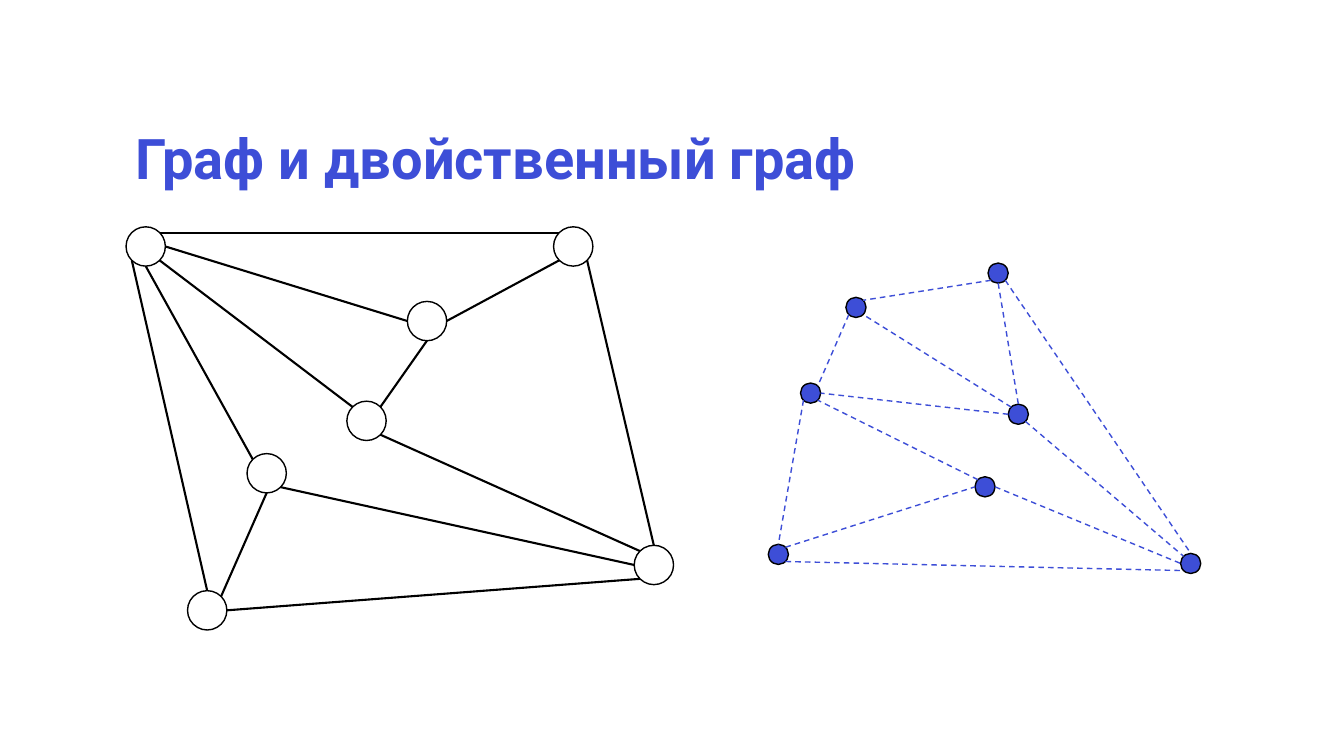
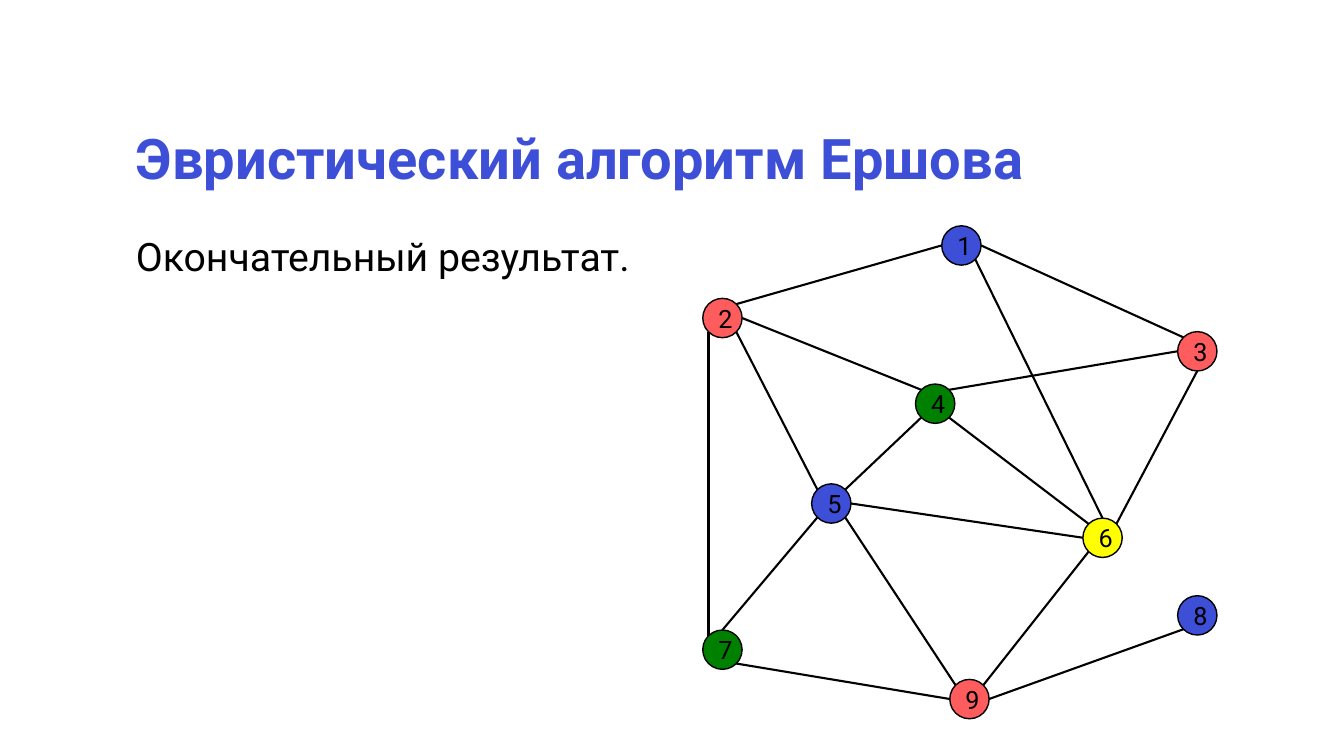
from lxml import etree
from pptx import Presentation
from pptx.dml.color import RGBColor
from pptx.enum.dml import MSO_LINE
from pptx.enum.shapes import MSO_CONNECTOR, MSO_SHAPE
from pptx.enum.text import MSO_ANCHOR, PP_ALIGN
from pptx.oxml.ns import qn
from pptx.util import Inches, Pt

OVAL = MSO_SHAPE.OVAL
LINE = MSO_CONNECTOR.STRAIGHT
DASH = MSO_LINE.DASH
MIDDLE = MSO_ANCHOR.MIDDLE
CENTER = PP_ALIGN.CENTER

CELL = Inches(0.1)
BLUE, RED, GREEN, YELLOW = "3D4ED7", "FF5D5D", "008000", "FFFF00"
BLACK, WHITE = "000000", "FFFFFF"

TITLE = {"size": Pt(40), "name": "Roboto", "bold": True}
BODY = {"size": Pt(28), "name": "Roboto"}
LABEL = {"size": Pt(18), "name": "Roboto"}
SOLID = {"width": Pt(1.5)}
DASHED = {"width": Pt(1), "dash_style": DASH}
RIM = {"width": Pt(1)}

DIAG = 0.5 ** 0.5
SITES = {
    "n": (0, -1), "s": (0, 1), "w": (-1, 0), "e": (1, 0),
    "nw": (-DIAG, -DIAG), "ne": (DIAG, -DIAG),
    "sw": (-DIAG, DIAG), "se": (DIAG, DIAG),
}

MAIN = {
    "A": (0, 0), "B": (21.9, 17.3), "C": (12, 22.5), "D": (50.4, 31.6),
    "E": (42.4, 0), "F": (27.9, 7.4), "G": (6.1, 36.1),
}
MAIN_EDGES = "Bnw-Ase As-Cnw Ese-Dn Dsw-Ge Enw-Ane Bse-Dnw Bne-Fs Esw-Fe Asw-Gn Dw-Cse Fw-Ae Cs-Gne"

DUAL = {
    "A": (21.8, 0), "B": (7.7, 3.4), "C": (23.8, 14), "D": (3.2, 11.9),
    "E": (0, 27.9), "F": (20.5, 21.2), "G": (40.9, 28.8),
}
DUAL_EDGES = "Asw-Bne Bsw-Dne Dsw-En Cnw-Bse Cse-Gnw Ene-Fw Fnw-Dse As-Cn Fe-Gw Cw-De Ese-Gsw Ase-Gn"

FINAL = {
    "1": (23.7, 0), "2": (0, 7.2), "3": (47.1, 10.5),
    "4": (21.1, 15.7), "5": (10.8, 25.6), "6": (37.7, 29),
    "7": (0, 40.1), "8": (47.1, 36.7), "9": (24.5, 45),
}
FINAL_EDGES = (
    "1w-2ne 6n-1se 2e-4nw 4se-6nw 4sw-5ne 4ne-3w 1e-3nw 5sw-7n "
    "5e-6w 8sw-9e 2sw-7nw 2se-5nw 3s-6ne 9w-7se 9nw-5se 9ne-6sw"
)
FINAL_FILLS = {
    "1": BLUE, "2": RED, "3": RED, "4": GREEN, "5": BLUE,
    "6": YELLOW, "7": GREEN, "8": BLUE, "9": RED,
}


def cells(*nums):
    return [round(num * CELL) for num in nums]


def paint(part, tint):
    part.solid()
    part.fore_color.rgb = RGBColor.from_string(tint)


def apply(part, style):
    for key, val in style.items():
        setattr(part, key, val)


def write(frame, words, style, tint):
    para = frame.paragraphs[0]
    run = para.add_run()
    run.text = words
    apply(run.font, style)
    paint(run.font.fill, tint)
    return para


def add_text(slide, box, words, style, tint):
    frame = slide.shapes.add_textbox(*cells(*box)).text_frame
    frame.word_wrap = True
    return write(frame, words, style, tint)


def add_title(slide, words, width):
    para = add_text(slide, (12.5, 12.5, width, 8), words, TITLE, BLUE)
    para.line_spacing = 0.9


def add_node(slide, left, top, size, fill, label):
    node = slide.shapes.add_shape(OVAL, *cells(left, top, size, size))
    node.shadow.inherit = False
    paint(node.fill, fill)
    paint(node.line.fill, BLACK)
    apply(node.line, RIM)
    if label:
        node.text_frame.vertical_anchor = MIDDLE
        write(node.text_frame, label, LABEL, BLACK).alignment = CENTER


def add_edge(slide, start, end, style, tint):
    edge = slide.shapes.add_connector(LINE, *cells(*start, *end))
    paint(edge.line.fill, tint)
    apply(edge.line, style)
    props = edge._element.find(qn("p:spPr"))
    etree.SubElement(props, qn("a:effectLst"))


def add_graph(slide, origin, size, nodes, edges, fills, style, tint, named=False):
    spots = {key: (origin[0] + col, origin[1] + row) for key, (col, row) in nodes.items()}
    for key, spot in spots.items():
        add_node(slide, *spot, size, fills[key], key if named else "")

    def site(end):
        key, side = end[0], end[1:]
        return [pos + size / 2 * (1 + step) for pos, step in zip(spots[key], SITES[side])]

    for pair in edges.split():
        start, end = pair.split("-")
        add_edge(slide, site(start), site(end), style, tint)


def dual_slide(slide):
    add_title(slide, "Граф и двойственный граф", 90.4)
    add_graph(slide, (76.2, 26.1), 2, DUAL, DUAL_EDGES,
              dict.fromkeys(DUAL, BLUE), DASHED, BLUE)
    add_graph(slide, (12.5, 22.5), 3.9, MAIN, MAIN_EDGES,
              dict.fromkeys(MAIN, WHITE), SOLID, BLACK)


def final_slide(slide):
    add_title(slide, "Эвристический алгоритм Ершова", 108.5)
    add_text(slide, (12.5, 22.6, 54.2, 5.7), "Окончательный результат.", BODY, BLACK)
    add_graph(slide, (69.7, 22.4), 3.9, FINAL, FINAL_EDGES,
              FINAL_FILLS, SOLID, BLACK, named=True)


def main():
    deck = Presentation()
    deck.slide_width, deck.slide_height = Inches(13.33), Inches(7.5)
    blank = deck.slide_layouts[6]
    for build in (dual_slide, final_slide):
        build(deck.slides.add_slide(blank))
    deck.save("out.pptx")


if __name__ == "__main__":
    main()
